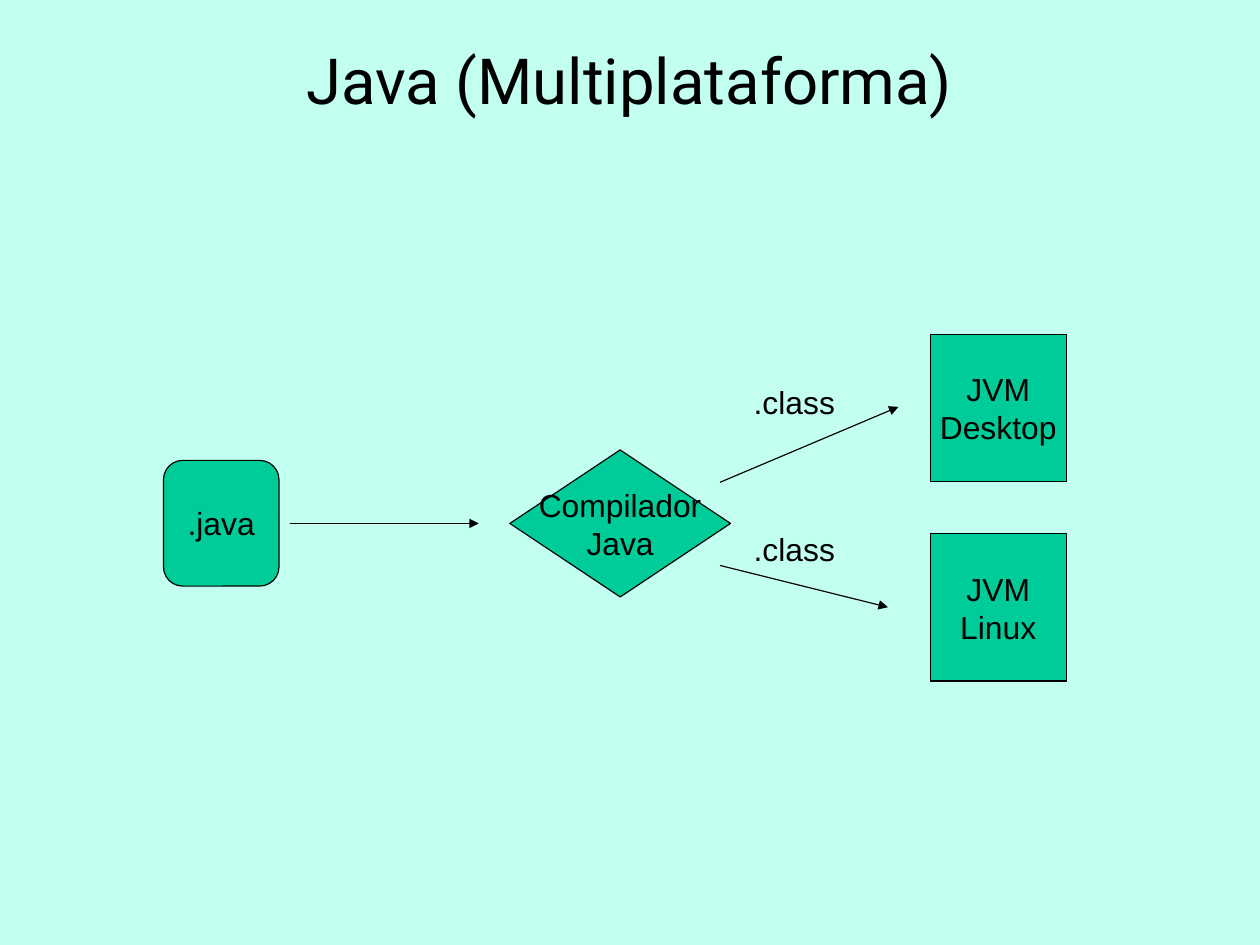
from lxml import etree
from pptx import Presentation
from pptx.dml.color import RGBColor
from pptx.enum import shapes, text
from pptx.oxml import ns
from pptx.util import Pt

MINT = RGBColor(0xC2, 0xFF, 0xF0)
GREEN = RGBColor(0x00, 0xCC, 0x99)
BLACK = RGBColor(0, 0, 0)

# Content: left, top, width, height in points
PAGE_SIZE = (793.75, 595.25)
TITLE = "Java (Multiplataforma)"
TITLE_FRAME = (39.6, 2.6, 713.5, 98.7)
KIND = shapes.MSO_SHAPE
NODES = [
    (KIND.ROUNDED_RECTANGLE, (103, 290, 72.8, 79.2), [".java"]),
    (KIND.FLOWCHART_DECISION, (321.2, 283.4, 139, 92.6), ["Compilador", "Java"]),
    (KIND.FLOWCHART_PROCESS, (586, 210.6, 85.7, 92.6), ["JVM", "Desktop"]),
    (KIND.FLOWCHART_PROCESS, (586, 336.3, 85.7, 92.6), ["JVM", "Linux"]),
]
LABELS = [((466.8, top, 73, 31.7), [".class"]) for top in (236.7, 329.4)]
# Arrows: start x, start y, end x, end y
ARROWS = [
    (182.4, 329.7, 301.6, 329.7),
    (453.6, 303.8, 566, 256.3),
    (453.6, 356.2, 559.4, 382.5),
]


def points(values):
    return [Pt(value) for value in values]


def style_line(line):
    line.color.rgb = BLACK
    line.width = Pt(0.75)


def write(frame, lines, align, size=20, font="Arial", insets=(8, 4.3)):
    frame.margin_left = frame.margin_right = Pt(insets[0])
    frame.margin_top = frame.margin_bottom = Pt(insets[1])
    frame.text = "\n".join(lines)
    for para in frame.paragraphs:
        para.alignment = align
        para.font.size = Pt(size)
        para.font.name = font
        para.font.color.rgb = BLACK


def add_node(page, kind, place, lines):
    node = page.shapes.add_shape(kind, *points(place))
    node.shadow.inherit = False
    node.fill.solid()
    node.fill.fore_color.rgb = GREEN
    style_line(node.line)
    write(node.text_frame, lines, text.PP_ALIGN.CENTER)
    node.text_frame.word_wrap = False
    node.text_frame.vertical_anchor = text.MSO_ANCHOR.MIDDLE


def add_label(page, place, lines):
    box = page.shapes.add_textbox(*points(place))
    write(box.text_frame, lines, text.PP_ALIGN.LEFT)
    box.text_frame.word_wrap = True


def add_arrow(page, ends):
    arrow = page.shapes.add_connector(shapes.MSO_CONNECTOR.STRAIGHT, *points(ends))
    style_line(arrow.line)
    properties = arrow.element.spPr
    outline = properties.find(ns.qn("a:ln"))
    etree.SubElement(outline, ns.qn("a:tailEnd"), type="triangle")
    etree.SubElement(properties, ns.qn("a:effectLst"))


def main():
    deck = Presentation()
    deck.slide_width, deck.slide_height = points(PAGE_SIZE)
    page = deck.slides.add_slide(deck.slide_layouts[5])
    page.background.fill.solid()
    page.background.fill.fore_color.rgb = MINT

    # Title
    title = page.shapes.title
    title.left, title.top, title.width, title.height = points(TITLE_FRAME)
    write(title.text_frame, [TITLE], text.PP_ALIGN.CENTER, 40, "Roboto", (0, 0))
    title.text_frame.auto_size = text.MSO_AUTO_SIZE.NONE
    title.text_frame.vertical_anchor = text.MSO_ANCHOR.MIDDLE
    title.text_frame.paragraphs[0].line_spacing = 0.97

    # Compilation flow
    for node in NODES:
        add_node(page, *node)
    for ends in ARROWS:
        add_arrow(page, ends)
    for label in LABELS:
        add_label(page, *label)

    deck.save("out.pptx")


if __name__ == "__main__":
    main()
